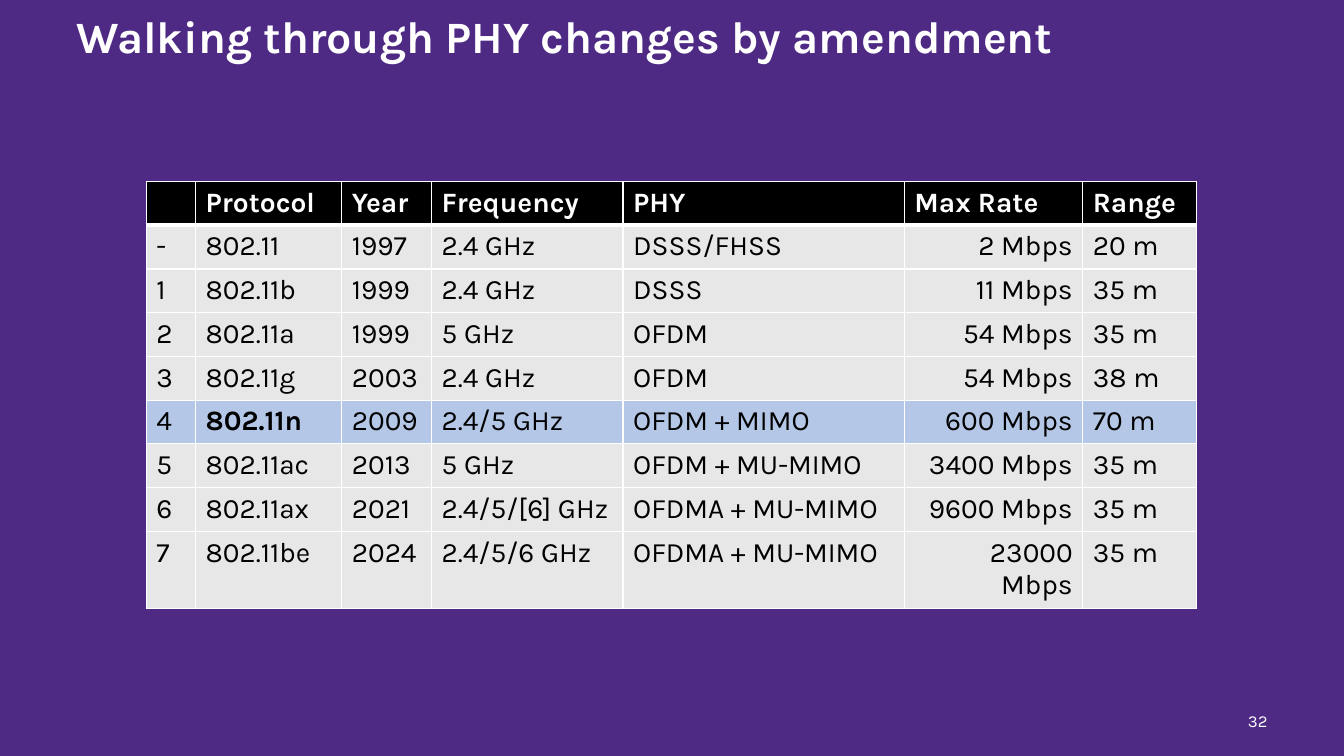
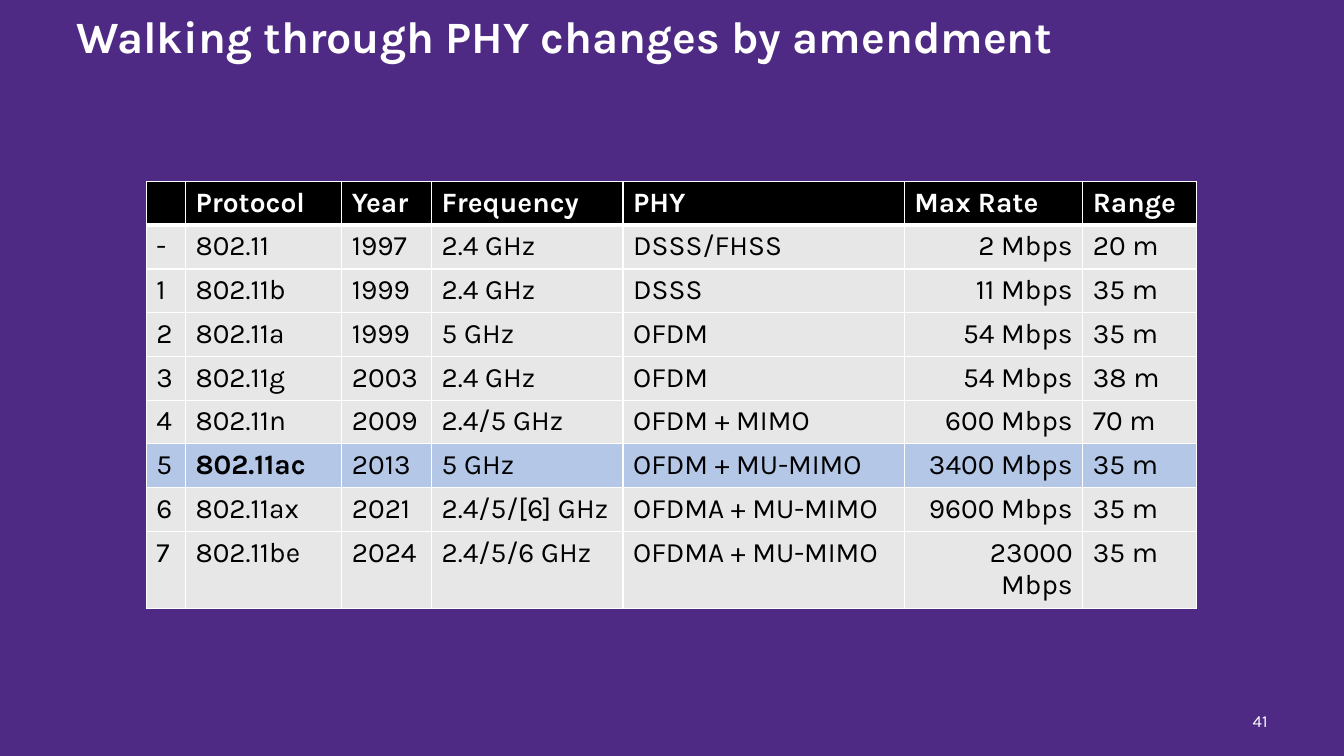
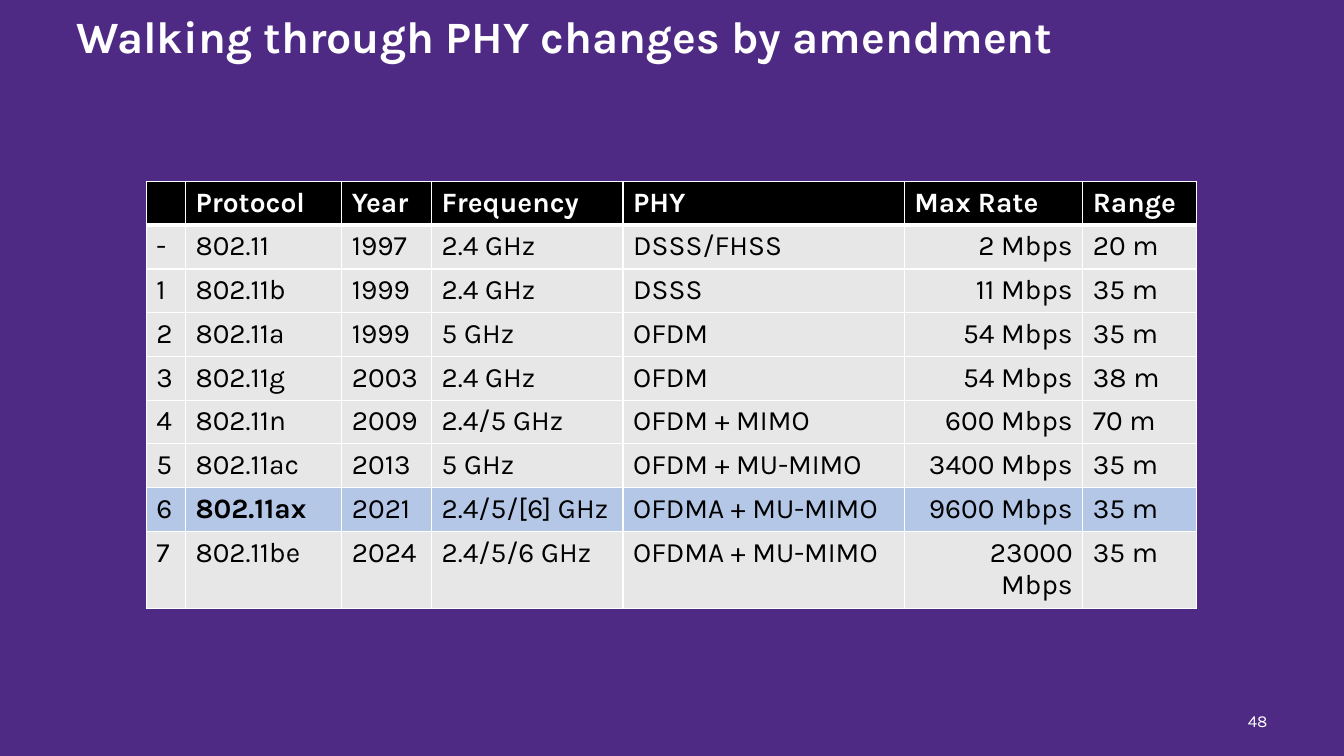
from lxml.etree import SubElement
from pptx import Presentation
from pptx.dml.color import RGBColor
from pptx.enum.text import MSO_ANCHOR as Anchor, PP_ALIGN as Align
from pptx.oxml.ns import qn
from pptx.util import Inches, Pt

COLORS = {
    "purple": "4E2A84",
    "white": "FFFFFF",
    "black": "000000",
    "gray": "E7E7E7",
    "highlight": "B4C7E7",
}
FONT = "Karla"
SLIDE_WIDTH, SLIDE_HEIGHT = Inches(13.33), Inches(7.5)

TITLE = "Walking through PHY changes by amendment"
TITLE_BOX = (4.95, 0.13, 90, 10)
NUMBER_BOX = (87.55, 92.67, 7.5, 5.33)
TABLE_BOX = (10.88, 24, 78.17, 49.2)

HEADER = ("", "Protocol", "Year", "Frequency", "PHY", "Max Rate", "Range")
AMENDMENTS = (
    ("-", "802.11", "1997", "2.4 GHz", "DSSS/FHSS", "2 Mbps", "20 m"),
    ("1", "802.11b", "1999", "2.4 GHz", "DSSS", "11 Mbps", "35 m"),
    ("2", "802.11a", "1999", "5 GHz", "OFDM", "54 Mbps", "35 m"),
    ("3", "802.11g", "2003", "2.4 GHz", "OFDM", "54 Mbps", "38 m"),
    ("4", "802.11n", "2009", "2.4/5 GHz", "OFDM + MIMO", "600 Mbps", "70 m"),
    ("5", "802.11ac", "2013", "5 GHz", "OFDM + MU-MIMO", "3400 Mbps", "35 m"),
    ("6", "802.11ax", "2021", "2.4/5/[6] GHz", "OFDMA + MU-MIMO", "9600 Mbps", "35 m"),
    ("7", "802.11be", "2024", "2.4/5/6 GHz", "OFDMA + MU-MIMO", "23000 Mbps", "35 m"),
)
PROTOCOL, RATE = HEADER.index("Protocol"), HEADER.index("Max Rate")
FIRST_TWO_COLUMNS = 1.94
OTHER_COLUMNS = (0.89, 1.9, 2.79, 1.77, 1.13)

SLIDES = (
    {"number": 32, "protocol": "802.11n", "index_width": 0.49},
    {"number": 41, "protocol": "802.11ac", "index_width": 0.39},
    {"number": 48, "protocol": "802.11ax", "index_width": 0.39},
)


def color(name):
    """Return a named colour of the palette."""
    return RGBColor.from_string(COLORS[name])


def place(box):
    """Turn a box in percent of the slide into lengths."""
    left, top, width, height = (share / 100 for share in box)
    return (int(left * SLIDE_WIDTH), int(top * SLIDE_HEIGHT),
            int(width * SLIDE_WIDTH), int(height * SLIDE_HEIGHT))


def write(text_frame, text, size, color_name, bold=False, align=Align.LEFT):
    """Set a single formatted paragraph and return it."""
    text_frame.text = text
    paragraph = text_frame.paragraphs[0]
    paragraph.alignment = align
    for run in paragraph.runs:
        run.font.name = FONT
        run.font.size = Pt(size)
        run.font.bold = bold
        run.font.color.rgb = color(color_name)
    return paragraph


def add_text(slide, box, text, size, **style):
    """Add a vertically centred white text box."""
    text_frame = slide.shapes.add_textbox(*place(box)).text_frame
    text_frame.word_wrap = True
    text_frame.vertical_anchor = Anchor.MIDDLE
    return write(text_frame, text, size, "white", **style)


def set_borders(cell, top=1, bottom=1):
    """Draw white borders around a cell."""
    properties = cell._tc.get_or_add_tcPr()
    for side, width in (("L", 1), ("R", 1), ("T", top), ("B", bottom)):
        line = SubElement(properties, qn(f"a:ln{side}"), w=str(Pt(width)))
        fill = SubElement(line, qn("a:solidFill"))
        SubElement(fill, qn("a:srgbClr"), val=COLORS["white"])


def add_amendment_table(slide, box, protocol, index_width):
    """Add the table of amendments with one protocol highlighted."""
    rows = (HEADER, *AMENDMENTS)
    left, top, width, height = place(box)
    table = slide.shapes.add_table(
        len(rows), len(HEADER), left, top, width, height).table
    table.horz_banding = False

    weights = (index_width, FIRST_TWO_COLUMNS - index_width, *OTHER_COLUMNS)
    for column, weight in zip(table.columns, weights):
        column.width = int(width * weight / sum(weights))

    for row_index, row in enumerate(rows):
        is_header = row_index == 0
        is_current = row[PROTOCOL] == protocol
        fill = "black" if is_header else "highlight" if is_current else "gray"
        for column_index, text in enumerate(row):
            cell = table.cell(row_index, column_index)
            set_borders(cell, top=3 if row_index == 1 else 1,
                        bottom=3 if is_header else 1)
            cell.fill.solid()
            cell.fill.fore_color.rgb = color(fill)
            is_rate = column_index == RATE and not is_header
            write(cell.text_frame, text, 20, "white" if is_header else "black",
                  bold=is_header or (is_current and column_index == PROTOCOL),
                  align=Align.RIGHT if is_rate else Align.LEFT)


def add_amendment_slide(presentation, number, protocol, index_width):
    """Add a slide about one amendment."""
    slide = presentation.slides.add_slide(presentation.slide_layouts[6])
    slide.background.fill.solid()
    slide.background.fill.fore_color.rgb = color("purple")
    add_text(slide, NUMBER_BOX, str(number), 12, align=Align.RIGHT)
    add_text(slide, TITLE_BOX, TITLE, 32, bold=True).line_spacing = 0.9
    add_amendment_table(slide, TABLE_BOX, protocol, index_width)


def main():
    """Build and save the presentation."""
    presentation = Presentation()
    presentation.slide_width = SLIDE_WIDTH
    presentation.slide_height = SLIDE_HEIGHT
    for content in SLIDES:
        add_amendment_slide(presentation, **content)
    presentation.save("out.pptx")


if __name__ == "__main__":
    main()
